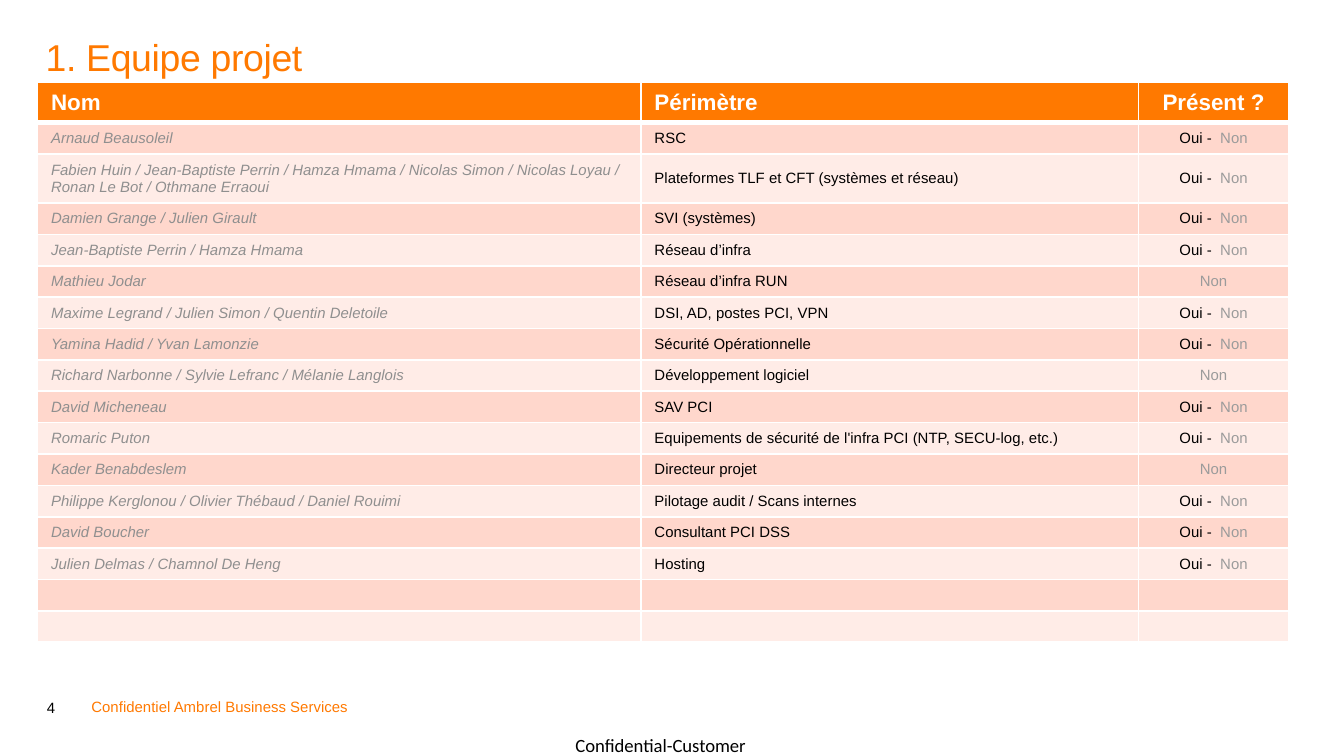
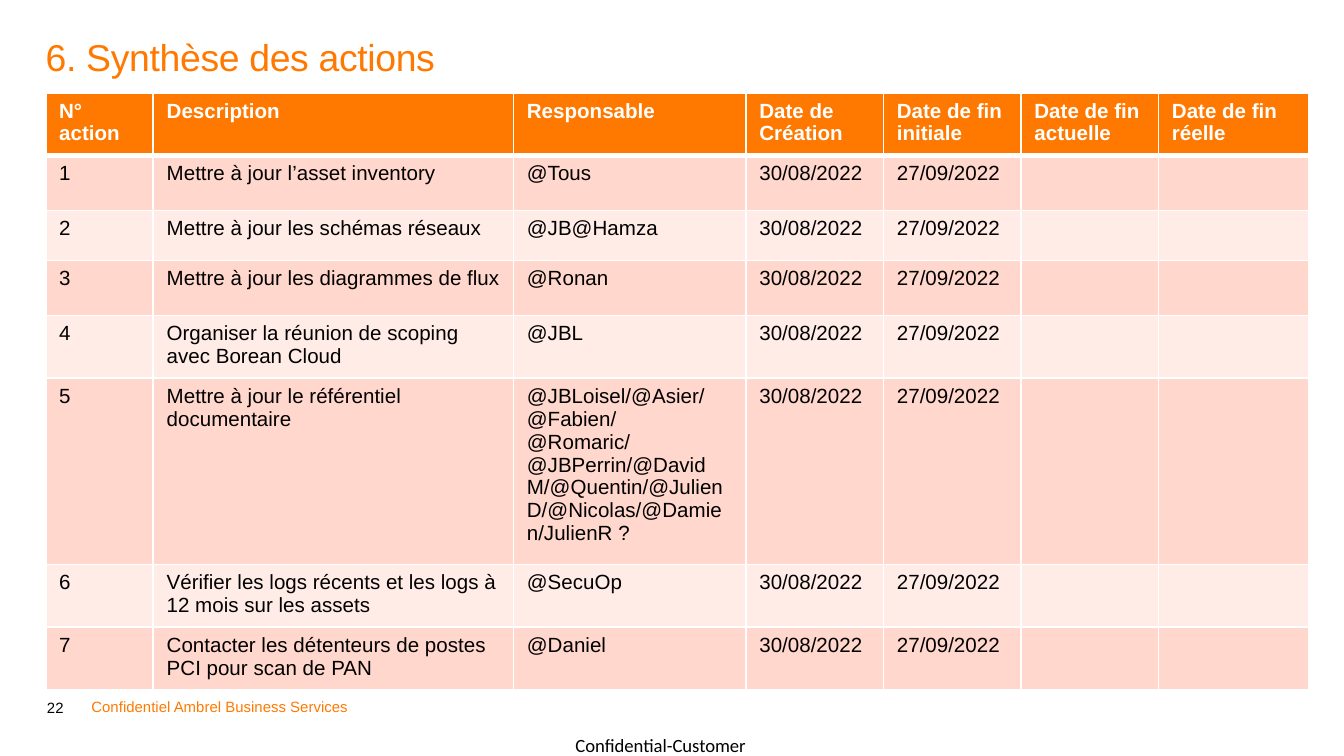
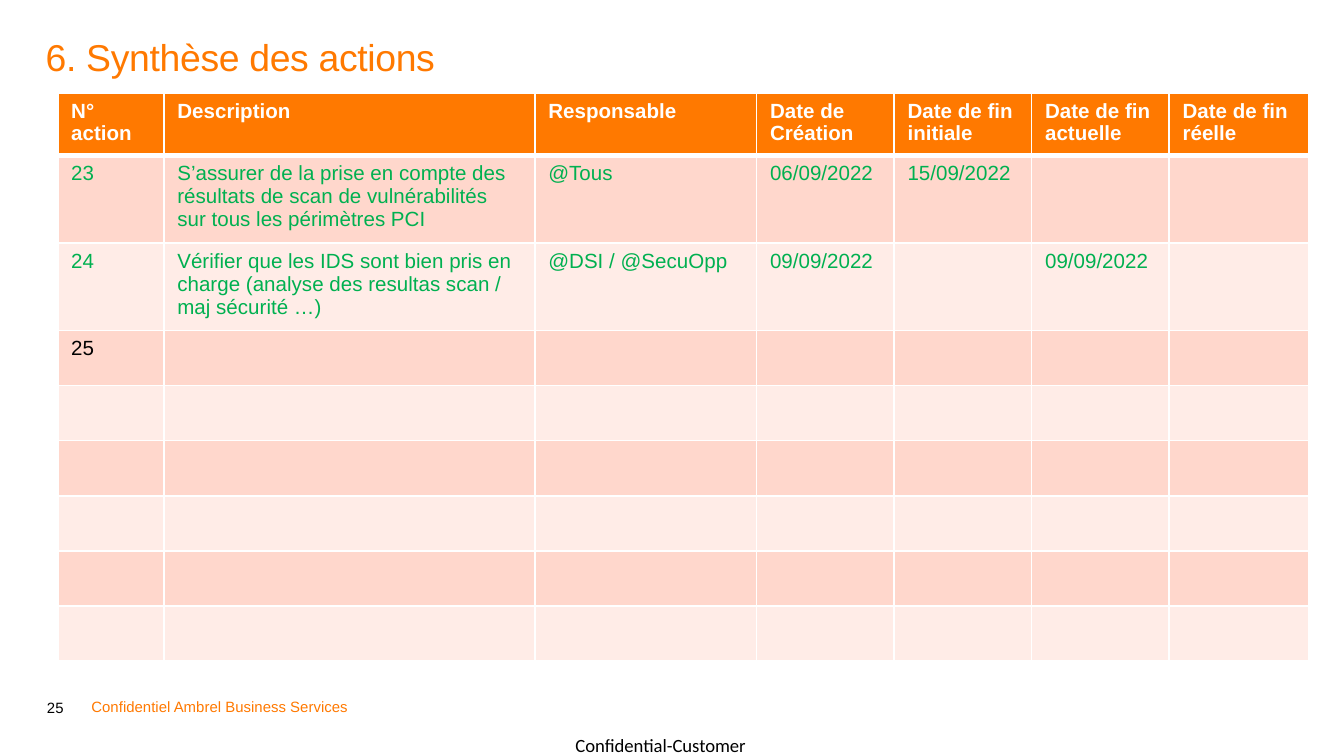
from dataclasses import dataclass
from typing import NamedTuple, Optional

from lxml.etree import SubElement
from pptx import Presentation
from pptx.dml.color import RGBColor
from pptx.enum.text import MSO_ANCHOR as Anchor, MSO_AUTO_SIZE as AutoSize, PP_ALIGN as Align
from pptx.oxml.ns import qn
from pptx.util import Inches, Pt

# Shared look
ORANGE, WHITE, BLACK, GREEN = "FF7900", "FFFFFF", "000000", "00B050"
NAME_GREY, NO_GREY = "8F8F8F", "9B9B9B"
BANDS = ("FFD7CC", "FFECE7")
FONT = "Arial"

# Grid: square modules, 1000 to the width of a 16:9 slide
COLS = 1000
SLIDE_W = Inches(10)
SLIDE_H = SLIDE_W * 9 // 16
MODULE = SLIDE_W // COLS
TITLE_ONLY = 5


class Box(NamedTuple):
    col: int
    row: int
    cols: int
    rows: int


class Run(NamedTuple):
    text: str
    color: str = BLACK
    italic: bool = False


@dataclass(frozen=True)
class FooterPart:
    text: str
    box: Box
    size: int = 8
    color: str = BLACK
    font: str = FONT
    align: Align = Align.LEFT
    wrap: bool = True


@dataclass(frozen=True)
class TableSpec:
    box: Box
    cols: list[float]
    rows: list[int]
    header: list[str]
    body: list[list[list[Run]]]
    head_size: int
    body_size: int
    anchor: Anchor = Anchor.TOP
    centred_col: Optional[int] = None


@dataclass(frozen=True)
class SlideSpec:
    number: int
    title: str
    title_rows: int
    table: TableSpec


FOOTER = (
    FooterPart("Confidential-Customer", Box(426, 546, 131, 17), 10,
               font="Calibri", align=Align.CENTER),
    FooterPart("Confidentiel Ambrel Business Services", Box(68, 519, 208, 13),
               color=ORANGE, wrap=False),
)


# Drawing helpers
def rgb(color: str) -> RGBColor:
    return RGBColor.from_string(color)


def place(box: Box) -> list[int]:
    return [n * MODULE for n in box]


def add_text(p, text: str, *, size: float, color: str = BLACK, font: str = FONT,
             bold: bool = False, italic: bool = False):
    r = p.add_run()
    r.text = text
    f = r.font
    f.name, f.size, f.bold, f.italic = font, Pt(size), bold, italic
    f.color.rgb = rgb(color)
    return r


def clear_margins(tf) -> None:
    tf.margin_left = tf.margin_top = tf.margin_right = tf.margin_bottom = 0


def add_title(s, text: str, rows: int) -> None:
    sp = s.shapes.title
    sp.left, sp.top, sp.width, sp.height = place(Box(34, 29, 931, rows))
    tf = sp.text_frame
    clear_margins(tf)
    tf.auto_size, tf.vertical_anchor = AutoSize.NONE, Anchor.TOP
    p = tf.paragraphs[0]
    p.alignment, p.line_spacing = Align.LEFT, 0.9
    r = add_text(p, text, size=20, color=ORANGE)
    r.font._element.set("spc", "-20")


def add_box(s, part: FooterPart):
    tf = s.shapes.add_textbox(*place(part.box)).text_frame
    clear_margins(tf)
    tf.word_wrap = part.wrap
    p = tf.paragraphs[0]
    p.alignment = part.align
    add_text(p, part.text, size=part.size, color=part.color, font=part.font)
    return tf


def add_footer(s, number: int) -> None:
    tf = add_box(s, FooterPart(str(number), Box(34, 496, 30, 37)))
    tf.margin_left = MODULE
    tf.vertical_anchor = Anchor.BOTTOM
    p = tf.paragraphs[0]
    p.line_spacing, p.space_after = 0.85, Pt(12)
    for part in FOOTER:
        add_box(s, part)


def set_borders(cell, row: int) -> None:
    """White rules, with a thick one under the header."""
    widths = {"L": 1, "R": 1, "T": 3 if row == 1 else 1, "B": 3 if row == 0 else 1}
    tc_pr = cell._tc.get_or_add_tcPr()
    for side, width in widths.items():
        ln = SubElement(tc_pr, qn(f"a:ln{side}"), w=str(Pt(width)))
        fill = SubElement(ln, qn("a:solidFill"))
        SubElement(fill, qn("a:srgbClr"), val=WHITE)


def fill_cell(cell, runs: list[Run], row: int, col: int, spec: TableSpec) -> None:
    head = row == 0
    size = spec.head_size if head else spec.body_size
    set_borders(cell, row)
    cell.fill.solid()
    cell.fill.fore_color.rgb = rgb(ORANGE if head else BANDS[(row - 1) % 2])
    cell.vertical_anchor = spec.anchor
    p = cell.text_frame.paragraphs[0]
    if col == spec.centred_col:
        p.alignment = Align.CENTER
    for run in runs:
        add_text(p, run.text, size=size, color=run.color, bold=head, italic=run.italic)
    if not runs:
        SubElement(p._p, qn("a:endParaRPr"), sz=str(size * 100))


def add_table(s, spec: TableSpec) -> None:
    tbl = s.shapes.add_table(len(spec.rows), len(spec.cols), *place(spec.box)).table
    tbl.horz_banding = False
    for column, width in zip(tbl.columns, spec.cols):
        column.width = round(width * MODULE)
    for row, height in zip(tbl.rows, spec.rows):
        row.height = height * MODULE
    lines = [[[Run(text, WHITE)] for text in spec.header], *spec.body]
    for i in range(len(spec.rows)):
        line = lines[i] if i < len(lines) else []
        for j in range(len(spec.cols)):
            fill_cell(tbl.cell(i, j), line[j] if j < len(line) else [], i, j, spec)


# Project team
class Member(NamedTuple):
    names: str
    scope: str
    present: bool = True


TEAM = [
    Member("Arnaud Beausoleil", "RSC"),
    Member("Fabien Huin / Jean-Baptiste Perrin / Hamza Hmama / Nicolas Simon / "
           "Nicolas Loyau / Ronan Le Bot / Othmane Erraoui",
           "Plateformes TLF et CFT (systèmes et réseau)"),
    Member("Damien Grange / Julien Girault", "SVI (systèmes)"),
    Member("Jean-Baptiste Perrin / Hamza Hmama", "Réseau d’infra"),
    Member("Mathieu Jodar", "Réseau d’infra RUN", False),
    Member("Maxime Legrand / Julien Simon / Quentin Deletoile", "DSI, AD, postes PCI, VPN"),
    Member("Yamina Hadid / Yvan Lamonzie", "Sécurité Opérationnelle"),
    Member("Richard Narbonne / Sylvie Lefranc / Mélanie Langlois",
           "Développement logiciel", False),
    Member("David Micheneau", "SAV PCI"),
    Member("Romaric Puton", "Equipements de sécurité de l'infra PCI (NTP, SECU-log, etc.)"),
    Member("Kader Benabdeslem", "Directeur projet", False),
    Member("Philippe Kerglonou / Olivier Thébaud / Daniel Rouimi",
           "Pilotage audit / Scans internes"),
    Member("David Boucher", "Consultant PCI DSS"),
    Member("Julien Delmas / Chamnol De Heng", "Hosting"),
]


def member_cells(m: Member) -> list[list[Run]]:
    yes = [Run("Oui -  ")] if m.present else []
    return [[Run(m.names, NAME_GREY, True)], [Run(m.scope)], [*yes, Run("Non", NO_GREY)]]


TEAM_TABLE = TableSpec(
    Box(28, 61, 931, 417), [449, 370, 112], [29] + [22] * 16,
    ["Nom", "Périmètre", "Présent ?"], [member_cells(m) for m in TEAM],
    head_size=12, body_size=8, anchor=Anchor.MIDDLE, centred_col=2)


# Action lists
class Action(NamedTuple):
    number: int
    description: str = ""
    owner: str = ""
    created: str = ""
    first_due: str = ""
    due: str = ""
    color: str = BLACK


ACTION_HEADER = ["N° action", "Description", "Responsable", "Date de Création",
                 "Date de fin initiale", "Date de fin actuelle", "Date de fin réelle"]
AUDIT_TASKS = [
    ("Mettre à jour l’asset inventory", "@Tous"),
    ("Mettre à jour les schémas réseaux", "@JB@Hamza"),
    ("Mettre à jour les diagrammes de flux", "@Ronan"),
    ("Organiser la réunion de scoping avec Borean Cloud", "@JBL"),
    ("Mettre à jour le référentiel documentaire",
     "@JBLoisel/@Asier/@Fabien/@Romaric/@JBPerrin/@David "
     "M/@Quentin/@JulienD/@Nicolas/@Damien/JulienR ?"),
    ("Vérifier les logs récents et les logs à 12 mois sur les assets", "@SecuOp"),
    ("Contacter les détenteurs de postes PCI pour scan de PAN", "@Daniel"),
]
FIRST_ACTIONS = [Action(n, task, owner, "30/08/2022", "27/09/2022")
                 for n, (task, owner) in enumerate(AUDIT_TASKS, 1)]
LAST_ACTIONS = [
    Action(23, "S’assurer de la prise en compte des résultats de scan de vulnérabilités "
           "sur tous les périmètres PCI", "@Tous", "06/09/2022", "15/09/2022", color=GREEN),
    Action(24, "Vérifier que les IDS sont bien pris en charge (analyse des resultas scan / "
           "maj sécurité …)", "@DSI / @SecuOpp", "09/09/2022", due="09/09/2022", color=GREEN),
    Action(25),
]


def action_cells(a: Action) -> list[list[Run]]:
    texts = (str(a.number), a.description, a.owner, a.created, a.first_due, a.due)
    return [[Run(text, a.color)] if text else [] for text in texts]


def action_table(box: Box, text_cols: list[int], last_col: int, rows: list[int],
                 actions: list[Action]) -> TableSpec:
    """Three equal date columns share the width the others leave."""
    date_col = (box.cols - sum(text_cols) - last_col) / 3
    return TableSpec(box, [*text_cols, *[date_col] * 3, last_col], rows, ACTION_HEADER,
                     [action_cells(a) for a in actions], head_size=11, body_size=11)


ACTIONS_TITLE = "6. Synthèse des actions"
SLIDES = [
    SlideSpec(4, "1. Equipe projet", 47, TEAM_TABLE),
    SlideSpec(22, ACTIONS_TITLE, 81, action_table(
        Box(34, 69, 940, 441), [80, 268, 173], 112, [39, 41, 37] + [41] * 5, FIRST_ACTIONS)),
    SlideSpec(25, ACTIONS_TITLE, 81, action_table(
        Box(43, 69, 931, 438), [79, 276, 165], 104, [39, 37] + [41] * 7, LAST_ACTIONS)),
]


def main() -> None:
    prs = Presentation()
    prs.slide_width, prs.slide_height = SLIDE_W, SLIDE_H
    for spec in SLIDES:
        s = prs.slides.add_slide(prs.slide_layouts[TITLE_ONLY])
        add_footer(s, spec.number)
        add_title(s, spec.title, spec.title_rows)
        add_table(s, spec.table)
    prs.save("out.pptx")


if __name__ == "__main__":
    main()
